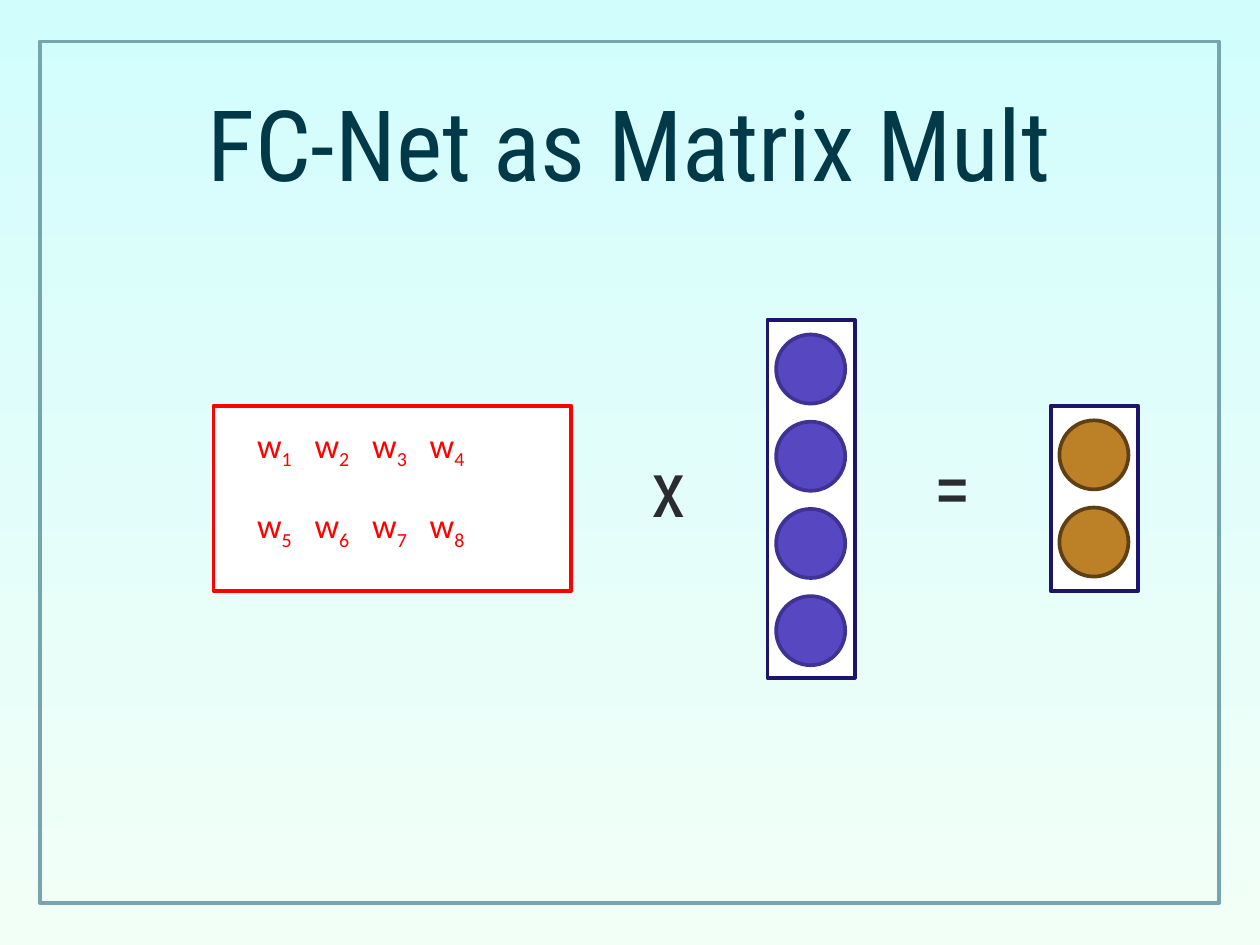
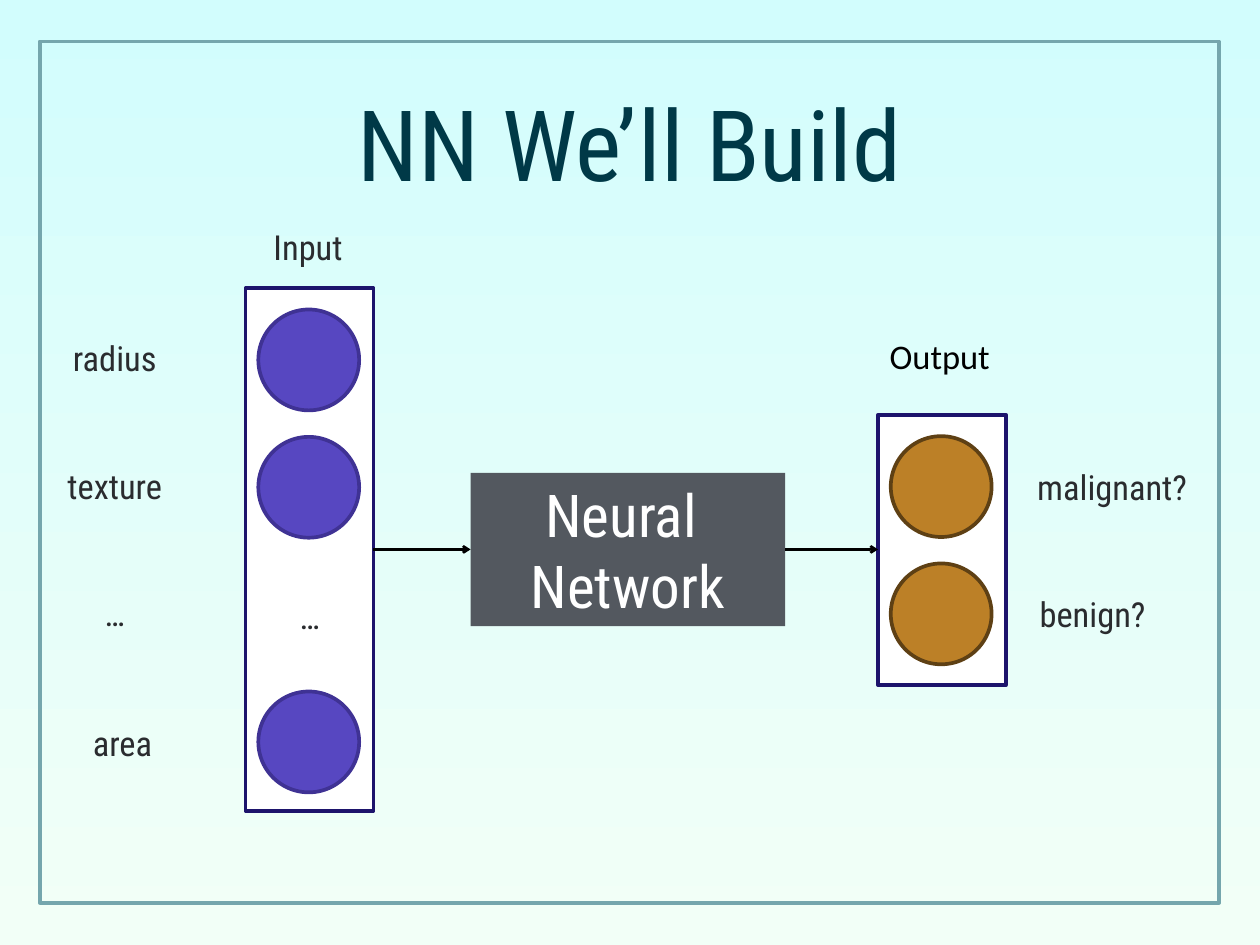
"""Builds two slides on a neural network as a matrix product and as a block diagram."""
from dataclasses import dataclass
from itertools import groupby

from lxml import etree
from pptx import Presentation
from pptx.dml.color import RGBColor
from pptx.enum.shapes import MSO_CONNECTOR, MSO_SHAPE
from pptx.enum.text import MSO_ANCHOR, PP_ALIGN
from pptx.oxml.ns import qn
from pptx.util import Cm, Pt

RECTANGLE = MSO_SHAPE.RECTANGLE
OVAL = MSO_SHAPE.OVAL
STRAIGHT = MSO_CONNECTOR.STRAIGHT
MIDDLE = MSO_ANCHOR.MIDDLE
CENTER = PP_ALIGN.CENTER
LEFT = PP_ALIGN.LEFT

COLORS = {
    "sky": "D2FDFD",
    "mint": "F2FFF7",
    "frame": "75A6AD",
    "title": "003947",
    "text": "2A2C2F",
    "black": "000000",
    "white": "FFFFFF",
    "weight": "FF0000",
    "layer": "1D146C",
    "input": "5747C1",
    "input_edge": "3F3294",
    "output": "BC8027",
    "output_edge": "5E4014",
    "network": "53585F",
}
HEADING_FONT = "Roboto Condensed"
PLAIN_FONT = "Calibri"

SLIDE_WIDTH, SLIDE_HEIGHT = 36.12, 27.09
INSET = 0.15
LABEL_HEIGHT = 1.47
LAYER_WIDTH, LAYER_INSET, LAYER_HEAD = 2.51, 0.25, 0.42
NEURON_SIZE, NEURON_PITCH = 1.98, 2.5
LARGE = 1.46
WEIGHT_PITCH = 1.65
ARROW_Y = 15.75


@dataclass(frozen=True)
class Place:
    """A rectangle in centimetres."""
    left: float
    top: float
    width: float
    height: float


@dataclass(frozen=True)
class Layer:
    """A column of neurons; kind names its colours and rows its filled positions."""
    left: float
    top: float
    height: float
    kind: str
    rows: tuple[int, ...]
    scale: float = 1


@dataclass(frozen=True)
class Label:
    """A caption centred on a horizontal position."""
    text: str
    center: float
    top: float
    font: str = HEADING_FONT
    color: str = "text"


PRODUCT_LAYERS = (
    Layer(22, 9.17, 10.26, "input", (0, 1, 2, 3)),
    Layer(30.12, 11.63, 5.31, "output", (0, 1)),
)
NETWORK_LAYERS = (
    Layer(7.04, 8.26, 14.99, "input", (0, 1, 3), LARGE),
    Layer(25.17, 11.89, 7.75, "output", (0, 1), LARGE),
)
NETWORK_LABELS = (
    Label("Input", 8.83, 6.35),
    Label("Output", 26.94, 9.45, PLAIN_FONT, "black"),
    Label("radius", 3.29, 9.53),
    Label("texture", 3.29, 13.18),
    Label("…", 3.29, 16.84),
    Label("area", 3.51, 20.55),
    Label("malignant?", 31.88, 13.23),
    Label("benign?", 31.32, 16.87),
    Label("…", 8.88, 16.92),
)


def rgb(name: str) -> RGBColor:
    """Look up a named colour."""
    return RGBColor.from_string(COLORS[name])


def write_text(shape, text: str, *, size: float = 28, font: str = HEADING_FONT,
               color: str = "text", align=CENTER, spacing: float | None = None,
               left_inset: float = INSET, tabs: tuple[float, ...] = (),
               subscript_digits: bool = False) -> None:
    """Fill a shape with one paragraph per line of text."""
    frame = shape.text_frame
    frame.word_wrap = True
    frame.vertical_anchor = MIDDLE
    frame.margin_left = Cm(left_inset)
    frame.margin_right = frame.margin_top = frame.margin_bottom = Cm(INSET)
    for index, line in enumerate(text.split("\n")):
        para = frame.add_paragraph() if index else frame.paragraphs[0]
        para.alignment = align
        if spacing:
            para.line_spacing = spacing
        if tabs:
            stops = etree.SubElement(para._p.get_or_add_pPr(), qn("a:tabLst"))
            for position in tabs:
                etree.SubElement(stops, qn("a:tab"), pos=str(Cm(position)), algn="l")
        pieces = groupby(line, str.isdigit) if subscript_digits else [(False, line)]
        for lowered, letters in pieces:
            span = para.add_run()
            span.text = "".join(letters)
            span.font.size = Pt(size)
            span.font.name = font
            span.font.color.rgb = rgb(color)
            if lowered:
                span._r.get_or_add_rPr().set("baseline", "-25000")


def add_text(slide, place: Place, text: str, **style) -> None:
    """Add a text box with formatted text."""
    box = slide.shapes.add_textbox(
        Cm(place.left), Cm(place.top), Cm(place.width), Cm(place.height))
    write_text(box, text, **style)


def add_figure(slide, kind, place: Place, fill: str | None = None,
               line: str | None = None):
    """Add a flat preset shape."""
    figure = slide.shapes.add_shape(
        kind, Cm(place.left), Cm(place.top), Cm(place.width), Cm(place.height))
    figure.shadow.inherit = False
    if fill:
        figure.fill.solid()
        figure.fill.fore_color.rgb = rgb(fill)
    else:
        figure.fill.background()
    if line:
        figure.line.color.rgb = rgb(line)
        figure.line.width = Pt(3)
    else:
        figure.line.fill.background()
    return figure


def add_layer(slide, layer: Layer) -> None:
    """Draw a layer's column and its neurons."""
    scale = layer.scale
    column = Place(layer.left, layer.top, LAYER_WIDTH * scale, layer.height)
    add_figure(slide, RECTANGLE, column, "white", "layer")
    size = NEURON_SIZE * scale
    for row in layer.rows:
        top = layer.top + (LAYER_HEAD + row * NEURON_PITCH) * scale
        neuron = Place(layer.left + LAYER_INSET * scale, top, size, size)
        add_figure(slide, OVAL, neuron, layer.kind, f"{layer.kind}_edge")


def add_arrow(slide, start: float, end: float) -> None:
    """Draw a horizontal arrow between two blocks."""
    arrow = slide.shapes.add_connector(
        STRAIGHT, Cm(start), Cm(ARROW_Y), Cm(end), Cm(ARROW_Y))
    arrow.line.color.rgb = rgb("black")
    arrow.line.width = Pt(2)
    etree.SubElement(arrow.line._get_or_add_ln(), qn("a:tailEnd"), type="arrow")
    etree.SubElement(arrow._element.spPr, qn("a:effectLst"))


def add_page(deck, title: str):
    """Add a slide with the shared background, frame and title."""
    page = deck.slides.add_slide(deck.slide_layouts[6])
    fill = page.background.fill
    fill.gradient()
    fill.gradient_angle = 270
    for stop, name in zip(fill.gradient_stops, ("sky", "mint")):
        stop.color.rgb = rgb(name)
    add_figure(page, RECTANGLE, Place(1.14, 1.19, 33.81, 24.69), line="frame")
    add_text(page, Place(2.64, 1.12, 30.84, 5.89), title, size=80, color="title")
    return page


def build_product(deck) -> None:
    """Build the matrix product slide."""
    page = add_page(deck, "FC-Net as Matrix Mult")
    matrix = Place(6.12, 11.63, 10.26, 5.31)
    add_figure(page, RECTANGLE, matrix, "white", "weight")
    tabs = tuple(WEIGHT_PITCH * column for column in (1, 2, 3))
    for first, top in ((1, 12.09), (5, 14.4)):
        weights = "\t".join(f"w{number}" for number in range(first, first + 4))
        add_text(page, Place(matrix.left, top, 9.78, LABEL_HEIGHT), weights,
                 font=PLAIN_FONT, color="weight", align=LEFT, left_inset=1.25,
                 tabs=tabs, subscript_digits=True)
    for symbol, left in (("x", 18.26), ("=", 26.39)):
        add_text(page, Place(left, 13.13, 1.85, 2.29), symbol, size=64, spacing=0.7)
    for layer in PRODUCT_LAYERS:
        add_layer(page, layer)


def build_network(deck) -> None:
    """Build the network diagram slide."""
    page = add_page(deck, "NN We’ll Build")
    for layer in NETWORK_LAYERS:
        add_layer(page, layer)
    width = 5.1
    for label in NETWORK_LABELS:
        place = Place(label.center - width / 2, label.top, width, LABEL_HEIGHT)
        add_text(page, place, label.text, font=label.font, color=label.color)
    block = Place(13.49, 13.56, 9.02, 4.39)
    network = add_figure(page, RECTANGLE, block, "network")
    write_text(network, "Neural \nNetwork", size=48, color="white")
    source, target = NETWORK_LAYERS
    add_arrow(page, source.left + LAYER_WIDTH * source.scale, block.left)
    add_arrow(page, block.left + block.width, target.left)


def main() -> None:
    """Build and save the deck."""
    deck = Presentation()
    deck.slide_width = Cm(SLIDE_WIDTH)
    deck.slide_height = Cm(SLIDE_HEIGHT)
    build_product(deck)
    build_network(deck)
    deck.save("out.pptx")


if __name__ == "__main__":
    main()
